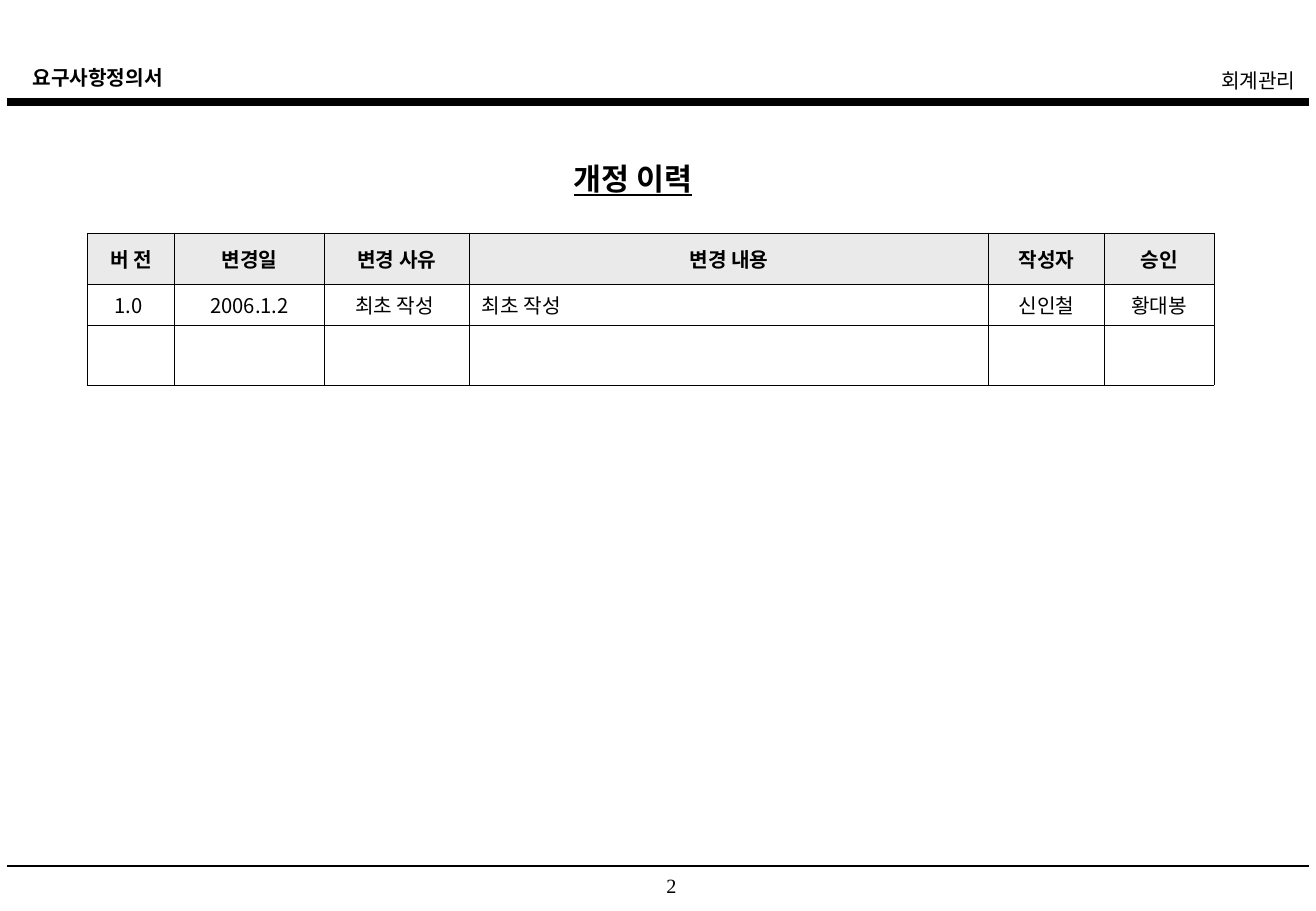
from lxml.etree import SubElement
from pptx import Presentation
from pptx.dml.color import RGBColor
from pptx.enum.shapes import MSO_CONNECTOR
from pptx.enum.text import MSO_ANCHOR, PP_ALIGN
from pptx.oxml.ns import qn
from pptx.util import Inches, Pt

# Content
HEADERS = ["버 전", "변경일", "변경 사유", "변경 내용", "작성자", "승인"]
REVISIONS = [
    ["1.0 ", "2006.1.2", "최초 작성 ", "최초 작성", "신인철", "황대봉"],
    [""] * len(HEADERS),
]
CONTENT_COLUMN = HEADERS.index("변경 내용")

# Look and grid, in inches
COLORS = {"ink": "000000", "header": "EAEAEA"}
SANS, SERIF = "Noto Sans CJK KR", "Times New Roman"
WIDTH, HEIGHT = 10.84, 7.5
RULE_MARGIN = 0.06
RULES = [(0.84, 4.5), (7.13, 1)]
COLUMNS = [0.72, 1.23, 1.2, 4.27, 0.96, 0.9]
ROWS = [0.42, 0.34, 0.49]
TABLE_LEFT, TABLE_TOP = 0.72, 1.92
LEFT, CENTER, RIGHT = PP_ALIGN.LEFT, PP_ALIGN.CENTER, PP_ALIGN.RIGHT


def color(name):
    return RGBColor.from_string(COLORS[name])


def add_span(para, text, size=12, font=SANS, bold=False, underline=False):
    span = para.add_run()
    span.text = text
    span.font.size = Pt(size)
    span.font.name = font
    span.font.bold = bold
    span.font.underline = underline
    span.font.color.rgb = color("ink")
    SubElement(span.font._element, qn("a:ea"), typeface=font)


def add_label(page, area, text, align=LEFT, **style):
    box = page.shapes.add_textbox(*map(Inches, area))
    box.text_frame.word_wrap = True
    para = box.text_frame.paragraphs[0]
    para.alignment = align
    add_span(para, text, **style)
    return para


def add_rule(page, top, weight):
    rule = page.shapes.add_connector(
        MSO_CONNECTOR.STRAIGHT, Inches(RULE_MARGIN), Inches(top),
        Inches(WIDTH - RULE_MARGIN), Inches(top))
    rule.line.width = Pt(weight)
    rule.line.color.rgb = color("ink")
    SubElement(rule._element.spPr, qn("a:effectLst"))


def add_borders(cell):
    properties = cell._tc.get_or_add_tcPr()
    for side in ("lnL", "lnR", "lnT", "lnB"):
        line = SubElement(properties, qn(f"a:{side}"), w=str(Pt(0.45)))
        fill = SubElement(line, qn("a:solidFill"))
        SubElement(fill, qn("a:srgbClr"), val=COLORS["ink"])


def add_history(page):
    frame = page.shapes.add_table(
        len(ROWS), len(COLUMNS), Inches(TABLE_LEFT), Inches(TABLE_TOP),
        Inches(sum(COLUMNS)), Inches(sum(ROWS)))
    table = frame.table
    table.first_row = table.horz_banding = False
    for column, width in zip(table.columns, COLUMNS):
        column.width = Inches(width)
    for row, height in zip(table.rows, ROWS):
        row.height = Inches(height)

    for r, texts in enumerate([HEADERS] + REVISIONS):
        is_header = r == 0
        for c, text in enumerate(texts):
            cell = table.cell(r, c)
            add_borders(cell)
            if is_header:
                cell.fill.solid()
                cell.fill.fore_color.rgb = color("header")
            else:
                cell.fill.background()
            cell.vertical_anchor = MSO_ANCHOR.MIDDLE
            para = cell.text_frame.paragraphs[0]
            is_content = c == CONTENT_COLUMN and not is_header
            para.alignment = LEFT if is_content else CENTER
            if text:
                add_span(para, text, bold=is_header)


def main():
    deck = Presentation()
    deck.slide_width, deck.slide_height = Inches(WIDTH), Inches(HEIGHT)
    page = deck.slides.add_slide(deck.slide_layouts[6])

    # Running header and rules
    add_label(page, (0.17, 0.49, 4.35, 0.3), "요구사항정의서", bold=True)
    for top, weight in RULES:
        add_rule(page, top, weight)
    add_label(page, (6.08, 0.51, 4.69, 0.3), "회계관리", RIGHT)

    # Title and revision table
    title = add_label(page, (4.63, 1.27, 1.53, 0.4), "개정 이력",
                      size=18, bold=True, underline=True)
    add_span(title, " ", size=18)
    add_history(page)

    # Page number
    number = add_label(page, (5.02, 7.14, 0.78, 0.27), "2", CENTER, font=SERIF)
    number._p.get_or_add_pPr().set("marL", str(Inches(0.24)))

    deck.save("out.pptx")


if __name__ == "__main__":
    main()
